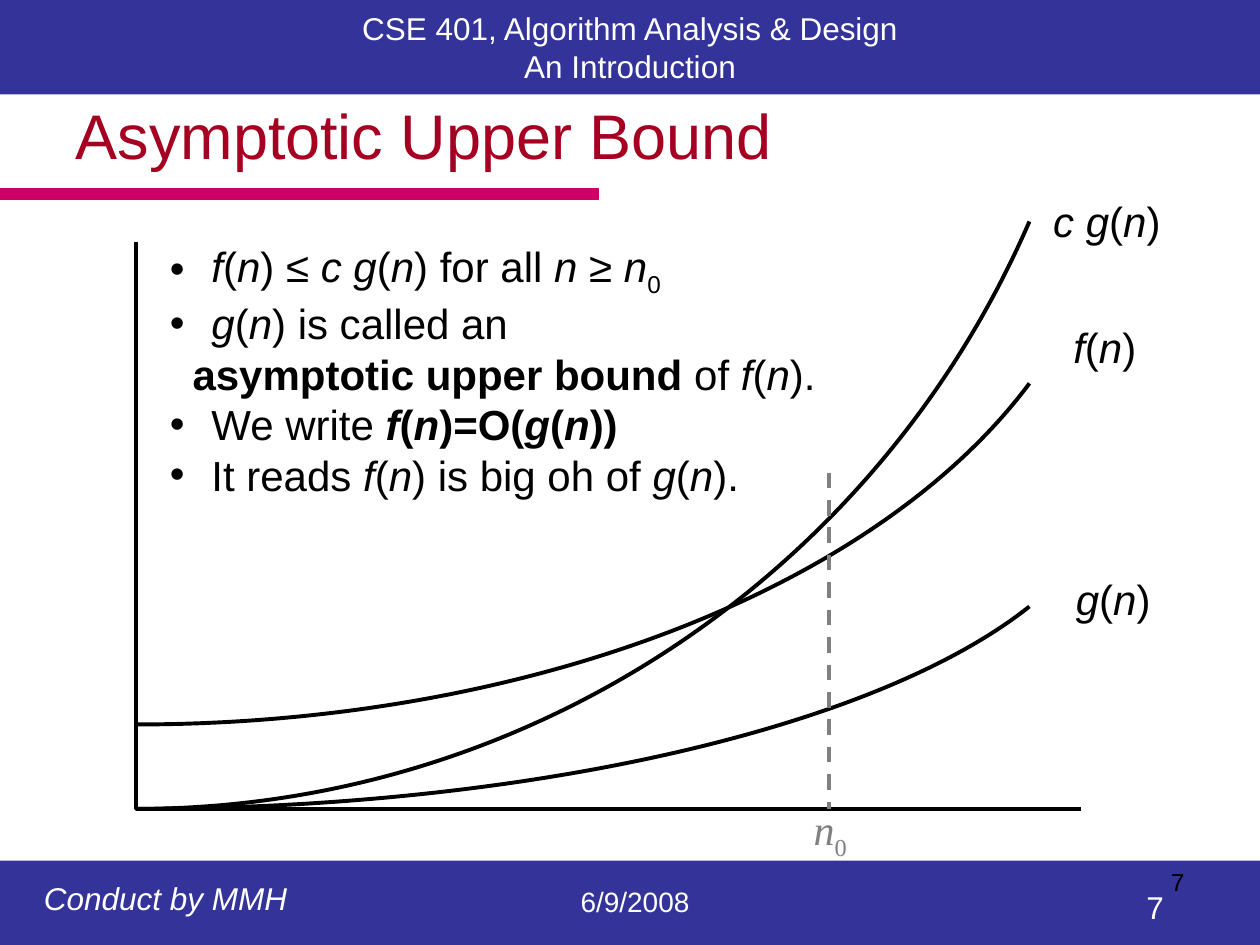
import math
from lxml import etree
from pptx import Presentation
from pptx import util as u
from pptx.dml.color import RGBColor
from pptx.enum import dml, shapes, text
from pptx.oxml.ns import qn

COLORS = {
    "ink": "000000",
    "white": "FFFFFF",
    "title": "A50021",
    "band": "333399",
    "rule": "CC0066",
    "gray": "808080",
}
LEFT, CENTER, RIGHT = text.PP_ALIGN.LEFT, text.PP_ALIGN.CENTER, text.PP_ALIGN.RIGHT
AXIS_X, BASE_Y, CURVE_END = 1.08, 6.42, 8.17


def rgb(name):
    return RGBColor.from_string(COLORS[name])


class Deck:
    font = "Arial"
    line_width = 2.25

    def __init__(self, prs):
        self.s = prs.slides.add_slide(prs.slide_layouts[5])

    def add_runs(self, p, marked, size, color, font=None):
        """Underscore toggles italic, asterisk toggles bold, tilde toggles subscript."""
        state = {"_": False, "*": False, "~": False}
        part = ""
        for ch in marked + "_":
            if ch not in state:
                part += ch
                continue
            if part:
                r = p.add_run()
                r.text = part
                r.font.name = font or self.font
                r.font.size = u.Pt(size)
                r.font.color.rgb = rgb(color)
                r.font.italic, r.font.bold = state["_"], state["*"]
                if state["~"]:
                    r._r.get_or_add_rPr().set("baseline", "-25000")
            state[ch] = not state[ch]
            part = ""

    def place(self, sp, box):
        sp.left, sp.top, sp.width, sp.height = (u.Inches(v) for v in box)

    def title(self, words, box):
        sp = self.s.shapes.title
        self.place(sp, box)
        tf = sp.text_frame
        tf.word_wrap = True
        tf.vertical_anchor = text.MSO_ANCHOR.MIDDLE
        p = tf.paragraphs[0]
        p.alignment = LEFT
        self.add_runs(p, words, 36, "title")

    def text(self, box, words, size=24, color="ink", align=LEFT, font=None, wrap=False):
        sp = self.s.shapes.add_textbox(*(u.Inches(v) for v in box))
        tf = sp.text_frame
        tf.word_wrap = wrap
        p = tf.paragraphs[0]
        p.alignment = align
        self.add_runs(p, words, size, color, font)

    def bullets(self, box, items, size=24):
        sp = self.s.shapes.add_textbox(*(u.Inches(v) for v in box))
        tf = sp.text_frame
        tf.word_wrap = False
        for i, (bulleted, words) in enumerate(items):
            p = tf.add_paragraph() if i else tf.paragraphs[0]
            pPr = p._p.get_or_add_pPr()
            margin = u.Inches(0.33 if bulleted else 0.18)
            pPr.set("marL", str(margin))
            pPr.set("indent", str(-margin if bulleted else 0))
            if bulleted:
                etree.SubElement(pPr, qn("a:buFont"), typeface=self.font)
                etree.SubElement(pPr, qn("a:buChar"), char="•")
            self.add_runs(p, words, size, "ink")

    def rect(self, box, color, lines=(), outline=False):
        sp = self.s.shapes.add_shape(
            shapes.MSO_SHAPE.RECTANGLE, *(u.Inches(v) for v in box))
        sp.shadow.inherit = False
        sp.fill.solid()
        sp.fill.fore_color.rgb = rgb(color)
        if outline:
            sp.line.color.rgb = rgb(color)
            sp.line.width = u.Pt(0.75)
        else:
            sp.line.fill.background()
        tf = sp.text_frame
        tf.vertical_anchor = text.MSO_ANCHOR.MIDDLE
        for i, words in enumerate(lines):
            p = tf.add_paragraph() if i else tf.paragraphs[0]
            p.alignment = CENTER
            self.add_runs(p, words, 18, "white")

    def outline(self, points):
        pts = [(u.Inches(x), u.Inches(y)) for x, y in points]
        fb = self.s.shapes.build_freeform(*pts[0])
        fb.add_line_segments(pts[1:], close=False)
        sp = fb.convert_to_shape()
        sp.shadow.inherit = False
        sp.fill.background()
        sp.line.color.rgb = rgb("ink")
        sp.line.width = u.Pt(self.line_width)
        return sp

    def curve(self, bottom, ry, rx=7.73):
        sweep = math.asin((CURVE_END - AXIS_X) / rx)
        k = 4 / 3 * math.tan(sweep / 4)
        end_y = bottom - ry * (1 - math.cos(sweep))
        sp = self.outline([
            (AXIS_X, bottom),
            (AXIS_X + k * rx, bottom),
            (CURVE_END - k * rx * math.cos(sweep), end_y + k * ry * math.sin(sweep)),
            (CURVE_END, end_y),
        ])
        geometry = sp._element.find(".//" + qn("a:path"))
        bezier = etree.SubElement(geometry, qn("a:cubicBezTo"))
        for seg in geometry.findall(qn("a:lnTo")):
            bezier.append(seg[0])
            geometry.remove(seg)

    def dashed(self, x, top, bottom):
        ln = self.s.shapes.add_connector(
            shapes.MSO_CONNECTOR.STRAIGHT,
            *(u.Inches(v) for v in (x, top, x, bottom)))
        ln.line.color.rgb = rgb("gray")
        ln.line.width = u.Pt(self.line_width)
        ln.line.dash_style = dml.MSO_LINE.DASH
        etree.SubElement(ln._element.spPr, qn("a:effectLst"))


def main():
    prs = Presentation()
    prs.slide_width, prs.slide_height = u.Inches(10), u.Inches(7.5)
    d = Deck(prs)

    d.rect((0, 6.83, 10, 0.67), "band")
    d.text((4.25, 6.97, 1.58, 0.37), "6/9/2008", 16, "white", CENTER, wrap=True)
    d.text((9, 7, 0.5, 0.4), "7", 18, "white", wrap=True)
    d.text((0.25, 6.93, 3.92, 0.4), "_Conduct by MMH_", 18, "white", wrap=True)
    d.rect((0, 0, 10, 0.75), "band",
           ["CSE 401, Algorithm Analysis & Design", "An Introduction"])
    d.rect((0, 1.5, 4.75, 0.08), "rule", outline=True)
    d.text((7.17, 6.83, 2.33, 0.52), "7", 14, align=RIGHT, wrap=True)

    d.title("Asymptotic Upper Bound", (0.5, 0.58, 9, 0.97))
    d.outline([(AXIS_X, 1.92), (AXIS_X, BASE_Y), (8.58, BASE_Y)])
    for bottom, ry in [(BASE_Y, 2.67), (BASE_Y, 7.75), (5.75, 4.5)]:
        d.curve(bottom, ry)
    d.dashed(6.58, 3.75, BASE_Y)

    d.text((8.42, 2.5, 0.7, 0.5), "_f_(_n_)")
    d.text((8.44, 4.5, 0.79, 0.5), "_g_(_n_)")
    d.text((8.26, 1.5, 1.05, 0.5), "_c g_(_n_)")
    d.text((6.36, 6.33, 0.46, 0.56), "_n_~0~", color="gray", font="Times New Roman")
    d.bullets((1.25, 1.86, 5.33, 2.56), [
        (True, "_f_(_n_) ≤ _c g_(_n_) for all _n _≥ _n_~0~"),
        (True, "_g_(_n_) is called an"),
        (False, "*asymptotic upper bound* of _f_(_n_)."),
        (True, "We write *_f_(_n_)=O(_g_(_n_))*"),
        (True, "It reads _f_(_n_) is big oh of _g_(_n_)."),
    ])
    prs.save("out.pptx")


if __name__ == "__main__":
    main()
